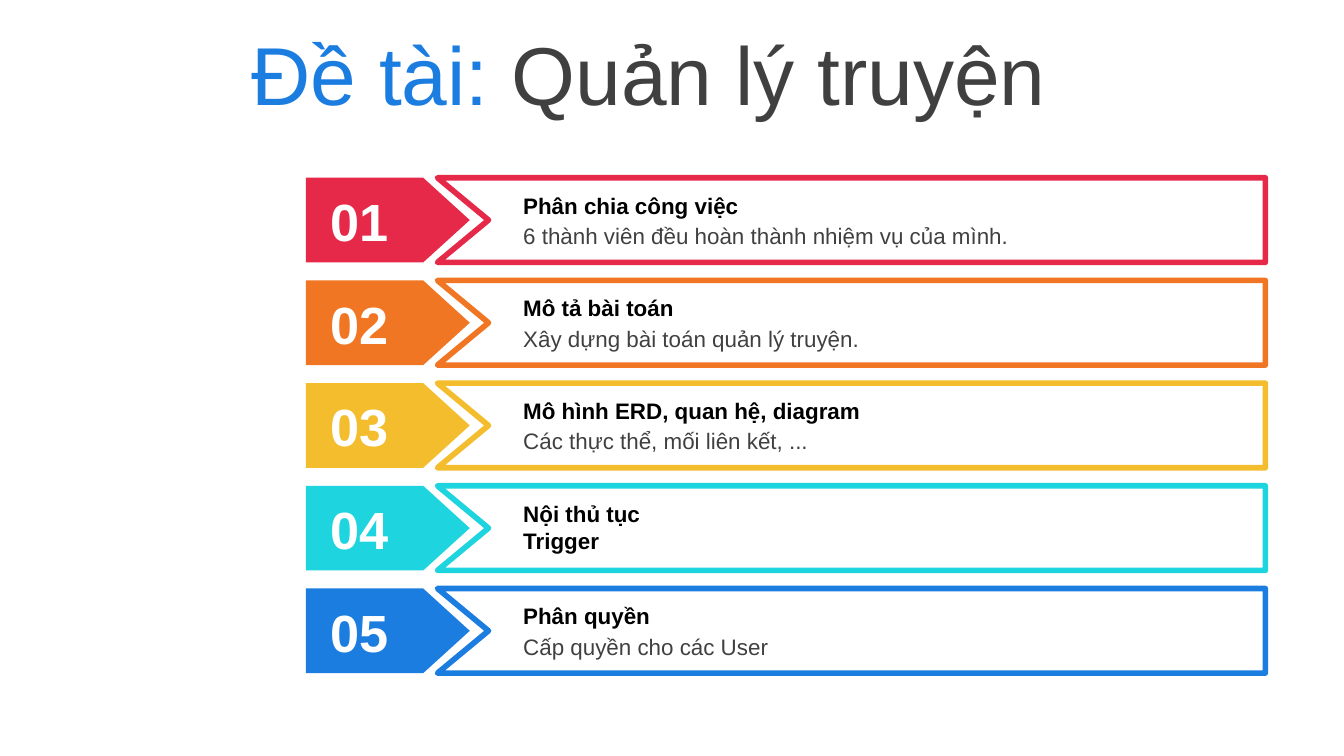
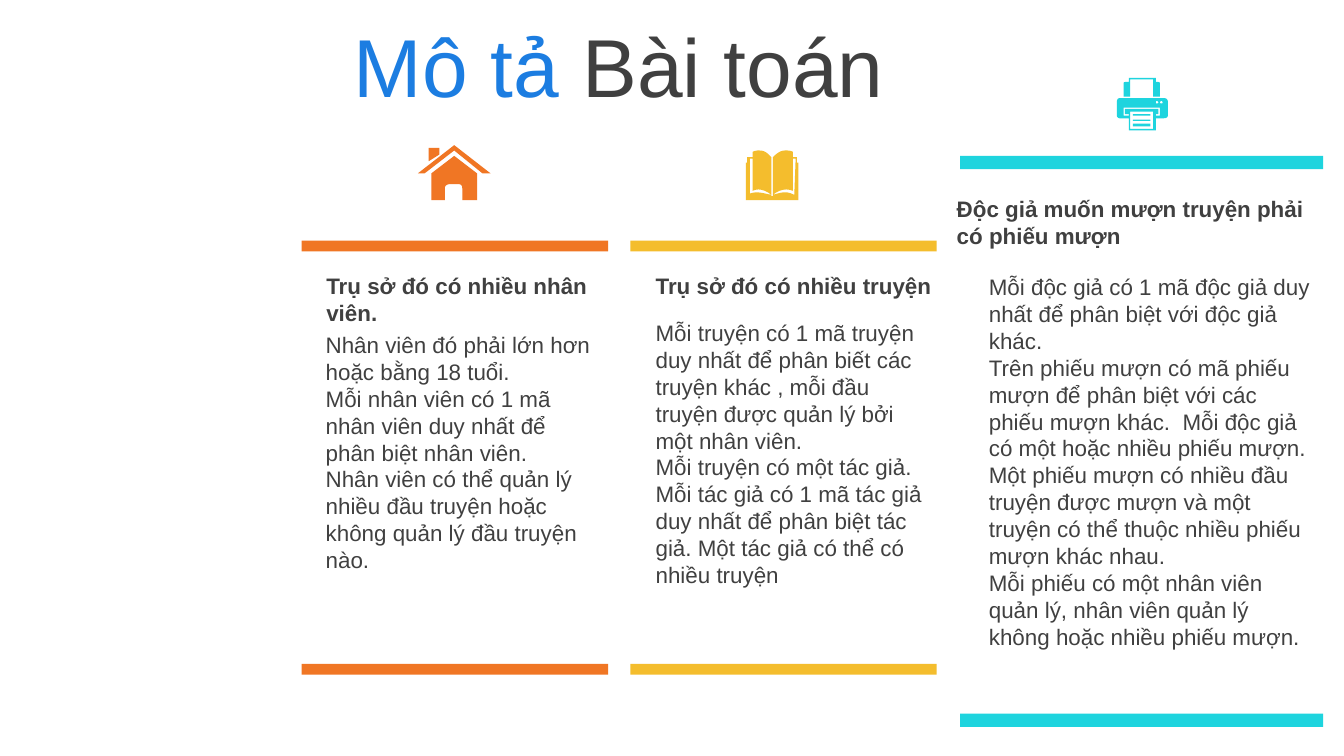
from pptx import Presentation
from pptx.dml.color import RGBColor
from pptx.enum.shapes import MSO_SHAPE
from pptx.enum.text import MSO_ANCHOR, MSO_AUTO_SIZE, PP_ALIGN
from pptx.oxml.ns import qn
from pptx.util import Inches, Pt
from lxml import etree

RECT, PLATE = MSO_SHAPE.RECTANGLE, MSO_SHAPE.PENTAGON
MIDDLE = MSO_ANCHOR.MIDDLE
GROW, FIXED = MSO_AUTO_SIZE.SHAPE_TO_FIT_TEXT, MSO_AUTO_SIZE.NONE
LEFT, CENTER = PP_ALIGN.LEFT, PP_ALIGN.CENTER

COLORS = {
    "red": "E62949", "orange": "F07624", "yellow": "F4BD2D",
    "cyan": "1ED4DE", "blue": "1C7DE1",
    "white": "FFFFFF", "black": "000000", "gray": "404040",
}
FONT = "Arial"
COLS = 100  # square grid cells across the slide
TITLE_ONLY = 5

# Outlines in tenths of a cell: "x,y" is a corner, "c" starts a curve,
# "/" starts the next contour.
HOUSE = """27,8 44,21 44,41 33,41 33,32 c33,30,32,29,30,29 24,29
    c22,29,20,30,20,32 20,41 10,41 10,21
    / 8,2 16,2 16,7 8,12
    / 27,0 54,21 48,21 27,4 5,21 0,21"""
BOOK = """19,34 20,34 20,33 c27,31,30,30,36,33 37,6 35,6 35,30
    c30,28,25,29,20,33 20,5 c23,2,26,0,29,0 c31,0,33,0,35,1 35,5 38,5
    38,9 39,9 39,37 0,37 0,9 1,9 1,5 5,5 5,1 c7,0,9,0,10,0
    c14,0,16,2,19,5 19,33 c14,29,9,28,5,30 5,6 3,6 3,32
    c9,30,13,32,19,33"""
PRINTER = """12,34 25,34 25,36 12,36
    / 12,31 25,31 25,32 12,32
    / 12,27 25,27 25,28 12,28
    / 10,25 27,25 27,38 10,38
    / 5,22 5,28 9,28 9,27 6,27 6,23 31,23 31,27 29,27 29,28 32,28 32,22
    / 33,17 c33,17,32,18,32,18 c32,19,33,19,33,19 c34,19,34,19,34,18
    c34,18,34,17,33,17
    / 30,17 c29,17,29,18,29,18 c29,19,29,19,30,19 c30,19,31,19,31,18
    c31,18,30,17,30,17
    / 2,15 35,15 c37,15,38,16,38,18 38,28 c38,29,37,30,35,30 29,30 29,39
    9,39 9,30 2,30 c1,30,0,29,0,28 0,18 c0,16,1,15,2,15
    / 9,0 29,0 29,3 30,3 c31,3,32,3,32,4 32,14 27,14 27,1 10,1 10,14
    5,14 5,4 c5,3,6,3,7,3 9,3"""

TOPICS = [
    ("red", "Phân chia công việc",
     "6 thành viên đều hoàn thành nhiệm vụ của mình."),
    ("orange", "Mô tả bài toán", "Xây dựng bài toán quản lý truyện."),
    ("yellow", "Mô hình ERD, quan hệ, diagram",
     "Các thực thể, mối liên kết, ..."),
    ("cyan", "Nội thủ tục\nTrigger", ""),
    ("blue", "Phân quyền", "Cấp quyền cho các User"),
]

STAFF = """Nhân viên đó phải lớn hơn hoặc bằng 18 tuổi.
Mỗi nhân viên có 1 mã
nhân viên duy nhất để
phân biệt nhân viên.
Nhân viên có thể quản lý
nhiều đầu truyện hoặc
không quản lý đầu truyện nào."""
STORIES = """Mỗi truyện có 1 mã truyện duy nhất để phân biết các
truyện khác , mỗi đầu
truyện được quản lý bởi
một nhân viên.
Mỗi truyện có một tác giả. Mỗi tác giả có 1 mã tác giả duy nhất để phân biệt \
tác giả. Một tác giả có thể có
nhiều truyện"""
READERS = """Mỗi độc giả có 1 mã độc giả duy nhất để phân biệt với độc giả
khác.
Trên phiếu mượn có mã phiếu mượn để phân biệt với các
phiếu mượn khác.  Mỗi độc giả có một hoặc nhiều phiếu mượn.
Một phiếu mượn có nhiều đầu
truyện được mượn và một
truyện có thể thuộc nhiều phiếu mượn khác nhau.
Mỗi phiếu có một nhân viên
quản lý, nhân viên quản lý
không hoặc nhiều phiếu mượn."""

# colour, top bar, bottom bar row, heading, heading box, text, text box,
# icon outline, icon corner
PANELS = [
    ("orange", (22.45, 17.9, 22.8, 0.8), 49.4,
     "Trụ sở đó có nhiều nhân viên.", (23.3, 19.75, 22, 5),
     STAFF, (23.25, 24.15, 22, 19.2), HOUSE, (31.1, 10.8)),
    ("yellow", (46.9, 17.9, 22.8, 0.8), 49.4,
     "Trụ sở đó có nhiều truyện", (47.8, 19.75, 22.6, 3),
     STORIES, (47.8, 23.25, 22, 21.2), BOOK, (55.5, 11.2)),
    ("cyan", (71.45, 11.6, 27, 1), 53.1,
     "Độc giả muốn mượn truyện phải có phiếu mượn", (70.2, 14, 28.8, 4.8),
     READERS, (72.6, 19.85, 26, 29.3), PRINTER, (83.1, 5.8)),
]


def rgb(name):
    return RGBColor.from_string(COLORS[name])


def trace(path, steps=6):
    """Turn one contour of an outline into points, curves into short lines."""
    spots = []
    for token in path.split():
        nums = [float(n) for n in token.lstrip("c").split(",")]
        if len(nums) == 2:
            spots.append(tuple(nums))
            continue
        ends = [spots[-1], nums[:2], nums[2:4], nums[4:]]
        for step in range(1, steps + 1):
            t = step / steps
            mix = ((1 - t) ** 3, 3 * t * (1 - t) ** 2,
                   3 * t * t * (1 - t), t ** 3)
            spots.append(tuple(sum(m * e[axis] for m, e in zip(mix, ends))
                               for axis in (0, 1)))
    return spots


class Deck:
    def __init__(self):
        self.prs = Presentation()
        self.prs.slide_width = Inches(10)
        self.prs.slide_height = self.prs.slide_width * 9 // 16
        self.cell = self.prs.slide_width / COLS
        self.slide = None

    def grid(self, *cells):
        return [round(c * self.cell) for c in cells]

    def style(self, run, size, color, bold=False):
        run.font.name, run.font.size = FONT, Pt(size)
        run.font.bold, run.font.color.rgb = bold, rgb(color)

    def title(self, lead, rest, box, align=LEFT):
        """Start a slide whose title has a blue lead and a gray rest."""
        layout = self.prs.slide_layouts[TITLE_ONLY]
        self.slide = self.prs.slides.add_slide(layout)
        head = self.slide.shapes.title
        head.left, head.top, head.width, head.height = self.grid(*box)
        frame = head.text_frame
        frame.text = lead
        frame.vertical_anchor, frame.auto_size = MIDDLE, FIXED
        par = frame.paragraphs[0]
        par.alignment = align
        par.add_run().text = rest
        for run, color in zip(par.runs, ("blue", "gray")):
            self.style(run, 44, color)

    def text(self, words, box, color="gray", bold=False, size=12):
        frame = self.slide.shapes.add_textbox(*self.grid(*box)).text_frame
        frame.word_wrap, frame.auto_size = True, GROW
        frame.text = words
        for par in frame.paragraphs:
            for run in par.runs:
                self.style(run, size, color, bold)
        return frame

    def paint(self, shape, fill, line=None):
        shape.shadow.inherit = False
        shape.fill.solid()
        shape.fill.fore_color.rgb = rgb(fill)
        if line:
            shape.line.color.rgb, shape.line.width = rgb(line), Pt(3)
            edge = shape.element.spPr.find(qn("a:ln"))
            etree.SubElement(edge, qn("a:round"))
        else:
            shape.line.fill.background()

    def block(self, kind, box, color):
        shape = self.slide.shapes.add_shape(kind, *self.grid(*box))
        self.paint(shape, color)
        return shape

    def draw(self, paths, spot, fill, line=None):
        """Draw an outline with its upper left corner at the spot."""
        pen = None
        for path in paths.split("/"):
            dots = [self.grid(spot[0] + x / 10, spot[1] + y / 10)
                    for x, y in trace(path)]
            if pen is None:
                pen = self.slide.shapes.build_freeform(*dots[0])
            else:
                pen.move_to(*dots[0])
            pen.add_line_segments(dots[1:], close=True)
        self.paint(pen.convert_to_shape(), fill, line)

    def topic(self, num, top, color, head, note):
        plate = self.block(PLATE, (22.75, top, 12.2, 6.3), color)
        plate.adjustments[0] = 0.55
        self.draw("0,0 616,0 616,63 0,63 38,31.5", (32.55, top),
                  "white", color)
        frame = self.text(f"{num:02}", (23.6, top + 0.85, 6.6, 4.7),
                          "white", True, 28)
        frame.vertical_anchor = MIDDLE
        frame.margin_top = frame.margin_bottom = 0
        tall = 3 + 2 * head.count("\n")
        self.text(head, (37.95, top + 0.55, 53, tall), "black", True)
        if note:
            self.text(note, (37.95, top + 2.8, 53, 3))

    def panel(self, color, bar, foot, head, place, words, box, icon, spot):
        left, top, wide, thick = bar
        for row in (top, foot):
            self.block(RECT, (left, row, wide, thick), color)
        self.text(words, box)
        self.text(head, place, bold=True)
        self.draw(icon, spot, color)


def main():
    deck = Deck()
    deck.title("Đề tài:", " Quản lý truyện", (17.7, 0.55, 82.3, 9.7))
    for num, topic in enumerate(TOPICS):
        deck.topic(num + 1, 13.23 + 7.64 * num, *topic)

    deck.title("Mô tả ", "Bài toán", (16.9, 0, 58.3, 9.65), CENTER)
    for panel in PANELS:
        deck.panel(*panel)
    deck.prs.save("out.pptx")


if __name__ == "__main__":
    main()
